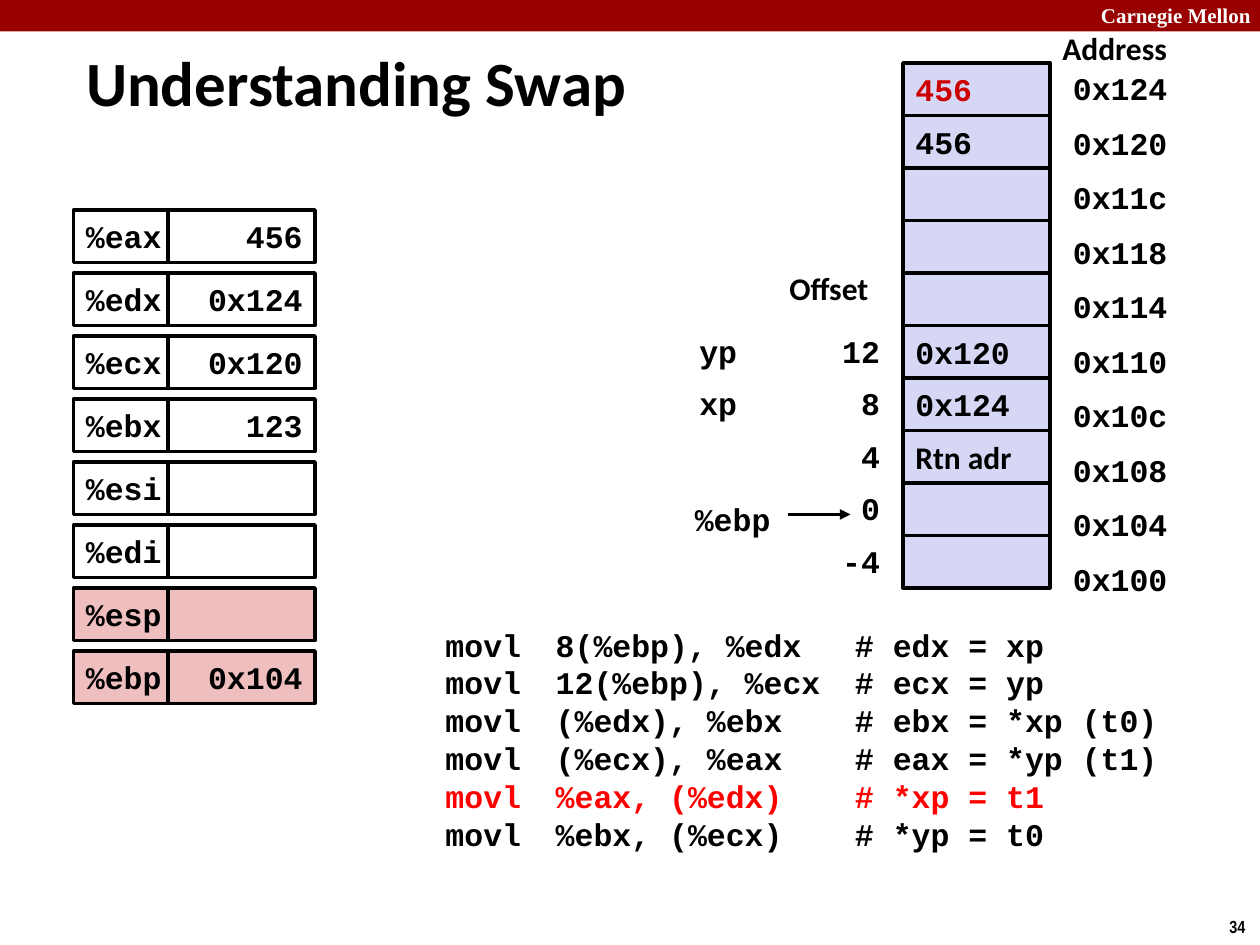
from dataclasses import dataclass
from typing import Optional

import pptx
import pptx.dml.color
import pptx.enum.shapes
import pptx.enum.text
import pptx.oxml
import pptx.oxml.ns
import pptx.util
from lxml import etree

Pt = pptx.util.Pt
ALIGN = pptx.enum.text.PP_ALIGN
ANCHOR = pptx.enum.text.MSO_ANCHOR


@dataclass(frozen=True)
class Theme:
    mono: str = "Courier New"
    sans: str = "Calibri"
    serif: str = "Times New Roman"
    narrow: str = "Arial Narrow"
    title: float = 36
    body: float = 18
    banner: float = 12
    number: float = 10
    black: str = "000000"
    white: str = "FFFFFF"
    banner_red: str = "990000"
    changed: str = "CC0000"
    current: str = "FF0000"
    memory: str = "D6D6F5"
    pointer: str = "EFBFBF"


T = Theme()


@dataclass(frozen=True)
class Style:
    font: str = T.mono
    size: float = T.body
    color: str = T.black


@dataclass(frozen=True)
class Register:
    name: str
    value: str = ""
    fill: str = T.white


@dataclass(frozen=True)
class Word:
    address: str
    value: str = ""
    offset: str = ""
    variable: str = ""
    style: Style = Style()


MONO = Style()
SANS = Style(font=T.sans)

ROW_H = 30
VALUE_W = 84
REG_X, REG_Y, REG_W, REG_STEP = 42, 120, 54, 36
MEM_X, MEM_Y, ADDRESS_STEP = 516, 36, 31.15
LABEL_H = 28.8

REGISTERS = [
    Register("%eax", "456"),
    Register("%edx", "0x124"),
    Register("%ecx", "0x120"),
    Register("%ebx", "123"),
    Register("%esi"),
    Register("%edi"),
    Register("%esp", fill=T.pointer),
    Register("%ebp", "0x104", T.pointer),
]

MEMORY = [
    Word("0x124", "456", style=Style(color=T.changed)),
    Word("0x120", "456"),
    Word("0x11c"),
    Word("0x118"),
    Word("0x114"),
    Word("0x110", "0x120", "12", "yp"),
    Word("0x10c", "0x124", "8", "xp"),
    Word("0x108", "Rtn adr", "4", style=SANS),
    Word("0x104", offset="0"),
    Word("0x100", offset="-4"),
]

CODE = [
    ("8(%ebp), %edx", "# edx = xp"),
    ("12(%ebp), %ecx", "# ecx = yp"),
    ("(%edx), %ebx", "# ebx = *xp (t0)"),
    ("(%ecx), %eax", "# eax = *yp (t1)"),
    ("%eax, (%edx)", "# *xp = t1"),
    ("%ebx, (%ecx)", "# *yp = t0"),
]
CURRENT_LINE = 4
CODE_TABS = (31.5, 94.5, 265.5)


def rgb(color: str):
    return pptx.dml.color.RGBColor.from_string(color)


def add_run(p, text: str, style: Style) -> None:
    r = p.add_run()
    r.text = text
    r.font.name, r.font.size, r.font.bold = style.font, Pt(style.size), True
    r.font.color.rgb = rgb(style.color)


def add_rect(s, x: float, y: float, w: float, h: float, fill: str, line: Optional[str] = None):
    sp = s.shapes.add_shape(pptx.enum.shapes.MSO_SHAPE.RECTANGLE, Pt(x), Pt(y), Pt(w), Pt(h))
    sp.shadow.inherit = False
    sp.fill.solid()
    sp.fill.fore_color.rgb = rgb(fill)
    if line:
        sp.line.color.rgb = rgb(line)
        sp.line.width = Pt(2)
    else:
        sp.line.fill.background()
    return sp


def add_cell(s, x: float, y: float, w: float, fill: str, text: str,
             style: Style = MONO, align=ALIGN.LEFT) -> None:
    tf = add_rect(s, x, y, w, ROW_H, fill, T.black).text_frame
    tf.vertical_anchor = ANCHOR.MIDDLE
    if align == ALIGN.LEFT:
        tf.margin_right = 0
    p = tf.paragraphs[0]
    p.alignment = align
    if text:
        add_run(p, text, style)


def add_label(s, x: float, y: float, w: float, text: str, style: Style = MONO,
              h: float = LABEL_H, left: float = 7.2, right: float = 0, align=ALIGN.LEFT) -> None:
    tf = s.shapes.add_textbox(Pt(x), Pt(y), Pt(w), Pt(h)).text_frame
    tf.word_wrap = True
    tf.margin_left, tf.margin_right = Pt(left), Pt(right)
    p = tf.paragraphs[0]
    p.alignment = align
    add_run(p, text, style)


def add_arrow(s, x1: float, x2: float, y: float) -> None:
    kind = pptx.enum.shapes.MSO_CONNECTOR.STRAIGHT
    c = s.shapes.add_connector(kind, Pt(x1), Pt(y), Pt(x2), Pt(y))
    c.line.color.rgb = rgb(T.black)
    c.line.width = Pt(2)
    qn = pptx.oxml.ns.qn
    etree.SubElement(c.line._get_or_add_ln(), qn("a:tailEnd"), type="triangle")
    etree.SubElement(c._element.spPr, qn("a:effectLst"))


def add_code(s) -> None:
    tf = s.shapes.add_textbox(Pt(216), Pt(354), Pt(468), Pt(138)).text_frame
    tf.word_wrap = True
    qn = pptx.oxml.ns.qn
    for i, (operands, comment) in enumerate(CODE):
        p = tf.add_paragraph() if i else tf.paragraphs[0]
        p.line_spacing = Pt(21.6)
        tabs = etree.SubElement(p._p.get_or_add_pPr(), qn("a:tabLst"))
        for pos in CODE_TABS:
            etree.SubElement(tabs, qn("a:tab"), pos=str(Pt(pos)), algn="l")
        color = T.current if i == CURRENT_LINE else T.black
        add_run(p, f"\tmovl\t{operands}\t{comment}", Style(color=color))


def main() -> None:
    prs = pptx.Presentation()
    prs.slide_width, prs.slide_height = Pt(720), Pt(540)
    s = prs.slides.add_slide(prs.slide_layouts[5])

    # Banner and slide number
    add_rect(s, 0, 0, 720, 18, T.banner_red)
    add_label(s, 622, -2, 98, "Carnegie Mellon", Style(T.serif, T.banner, T.white), h=21.6)
    add_label(s, 695.5, 520, 24.5, "34", Style(T.narrow, T.number), h=19.4)

    # Title
    title = s.shapes.title
    title.left, title.top, title.width, title.height = Pt(42), Pt(24), Pt(502), Pt(45)
    title.text_frame.vertical_anchor = ANCHOR.MIDDLE
    p = title.text_frame.paragraphs[0]
    p.alignment = ALIGN.LEFT
    add_run(p, "Understanding Swap", Style(T.sans, T.title))

    # Registers
    for i, reg in enumerate(REGISTERS):
        y = REG_Y + i * REG_STEP
        add_cell(s, REG_X, y, REG_W, reg.fill, reg.name)
        add_cell(s, REG_X + REG_W, y, VALUE_W, reg.fill, reg.value, align=ALIGN.RIGHT)

    # Memory with offsets, variables and addresses
    add_label(s, 600, 13, 75, "Address", SANS)
    add_label(s, 444, 150, 60.5, "Offset", SANS)
    for i, word in enumerate(MEMORY):
        y = MEM_Y + i * ROW_H
        add_cell(s, MEM_X, y, VALUE_W, T.memory, word.value, word.style)
        add_label(s, 606, MEM_Y + i * ADDRESS_STEP, 96, word.address)
        if word.offset:
            add_label(s, 474, y, 46.8, word.offset, left=0, right=18, align=ALIGN.RIGHT)
        if word.variable:
            add_label(s, 396, y, 52, word.variable, left=3.6)

    # Frame pointer
    add_label(s, 390, 282, 57.6, "%ebp")
    add_arrow(s, 450, 486, 294)

    add_code(s)
    prs.save("out.pptx")


if __name__ == "__main__":
    main()
